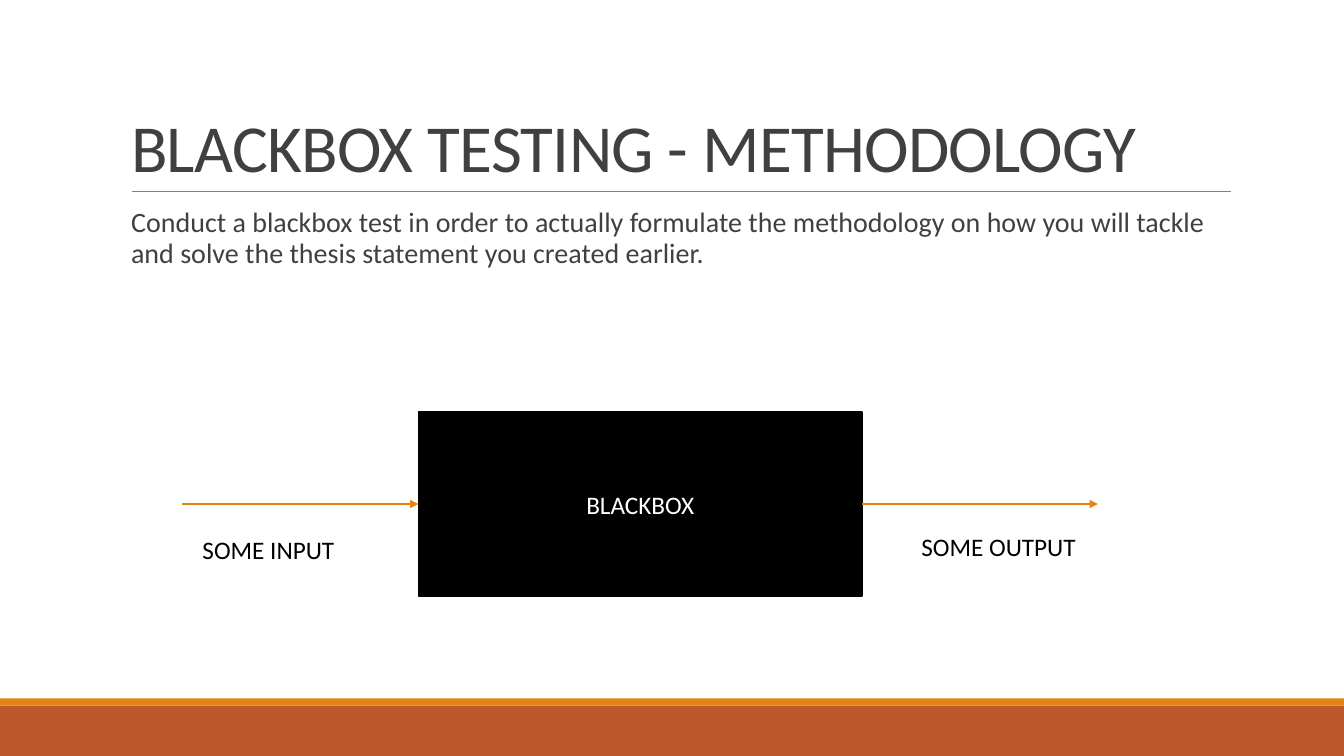
from lxml.etree import SubElement
from pptx import Presentation
from pptx.dml.color import RGBColor
from pptx.enum.shapes import MSO_CONNECTOR, MSO_SHAPE
from pptx.enum.text import MSO_ANCHOR, MSO_AUTO_SIZE, PP_ALIGN
from pptx.oxml.ns import qn
from pptx.util import Inches, Pt

TITLE = "BLACKBOX TESTING - METHODOLOGY"
BODY = ("Conduct a blackbox test in order to actually formulate the methodology "
        "on how you will tackle and solve the thesis statement you created earlier.")
BOX_TEXT = "BLACKBOX"
LABELS = [("SOME INPUT", 1.91, 5.25, 1.51), ("SOME OUTPUT", 9.04, 5.22, 1.74)]
COLORS = {"rust": "BD582C", "orange": "E48312", "rule": "808080",
          "text": "404040", "black": "000000", "white": "FFFFFF"}
FONT = "Calibri"
WIDTH, HEIGHT = 13.33, 7.5
BANDS = [("rust", 7, 0.5), ("orange", 6.93, 0.07)]
BOX = (4.15, 4.09, 4.4, 1.82)
ARROW_LENGTH = 2.34


def rgb(name):
    return RGBColor.from_string(COLORS[name])


def place(sp, left, top, width, height):
    sp.left, sp.top = Inches(left), Inches(top)
    sp.width, sp.height = Inches(width), Inches(height)


def write(tf, text, size, color, align=PP_ALIGN.LEFT):
    tf.text = text
    p = tf.paragraphs[0]
    p.alignment = align
    p.space_before = Pt(0)
    font = p.runs[0].font
    font.name, font.size = FONT, Pt(size)
    font.color.rgb = rgb(color)
    return p


def add_rect(s, left, top, width, height, color):
    sp = s.shapes.add_shape(MSO_SHAPE.RECTANGLE, Inches(left), Inches(top),
                            Inches(width), Inches(height))
    sp.shadow.inherit = False
    sp.fill.solid()
    sp.fill.fore_color.rgb = rgb(color)
    sp.line.fill.background()
    return sp


def add_line(s, x1, x2, y, color, width):
    line = s.shapes.add_connector(MSO_CONNECTOR.STRAIGHT, Inches(x1), Inches(y),
                                  Inches(x2), Inches(y))
    line.line.color.rgb = rgb(color)
    line.line.width = Pt(width)
    SubElement(line._element.spPr, qn("a:effectLst"))
    return line


def add_arrow(s, x1, x2, y):
    arrow = add_line(s, x1, x2, y, "orange", 1)
    SubElement(arrow.line._get_or_add_ln(), qn("a:tailEnd"), type="triangle")
    return arrow


def main():
    prs = Presentation()
    prs.slide_width, prs.slide_height = Inches(WIDTH), Inches(HEIGHT)
    s = prs.slides.add_slide(prs.slide_layouts[1])

    for color, top, height in BANDS:
        add_rect(s, 0, top, WIDTH, height, color)
    add_line(s, 1.31, 12.21, 1.9, "rule", 0.5)

    title = s.shapes.title
    place(title, 1.2, 0.31, 11, 1.59)
    tf = title.text_frame
    tf.vertical_anchor = MSO_ANCHOR.BOTTOM
    tf.auto_size = MSO_AUTO_SIZE.NONE
    p = write(tf, TITLE, 48, "text")
    p.line_spacing = 0.85
    p.runs[0].font._element.set("spc", "-50")

    body = s.placeholders[1]
    place(body, 1.2, 2.02, 11, 4.4)
    tf = body.text_frame
    tf.auto_size = MSO_AUTO_SIZE.NONE
    tf.margin_left = tf.margin_right = 0
    p = write(tf, BODY, 20, "text")
    p.line_spacing = 0.9
    p.space_after = Pt(2)
    pPr = p._p.get_or_add_pPr()
    pPr.set("marL", str(Inches(0.1)))
    pPr.set("indent", "0")
    SubElement(pPr, qn("a:buNone"))

    left, top, width, height = BOX
    box = add_rect(s, *BOX, "black")
    box.line.color.rgb = rgb("black")
    box.line.width = Pt(1.25)
    box.text_frame.vertical_anchor = MSO_ANCHOR.MIDDLE
    write(box.text_frame, BOX_TEXT, 18, "white", PP_ALIGN.CENTER)

    middle, right = top + height / 2, left + width
    add_arrow(s, left - ARROW_LENGTH, left, middle).end_connect(box, 1)
    add_arrow(s, right, right + ARROW_LENGTH, middle).begin_connect(box, 3)

    for text, x, y, w in LABELS:
        label = s.shapes.add_textbox(Inches(x), Inches(y), Inches(w), Inches(0.4))
        tf = label.text_frame
        tf.word_wrap = False
        tf.auto_size = MSO_AUTO_SIZE.SHAPE_TO_FIT_TEXT
        write(tf, text, 18, "black")

    prs.save("out.pptx")


if __name__ == "__main__":
    main()
